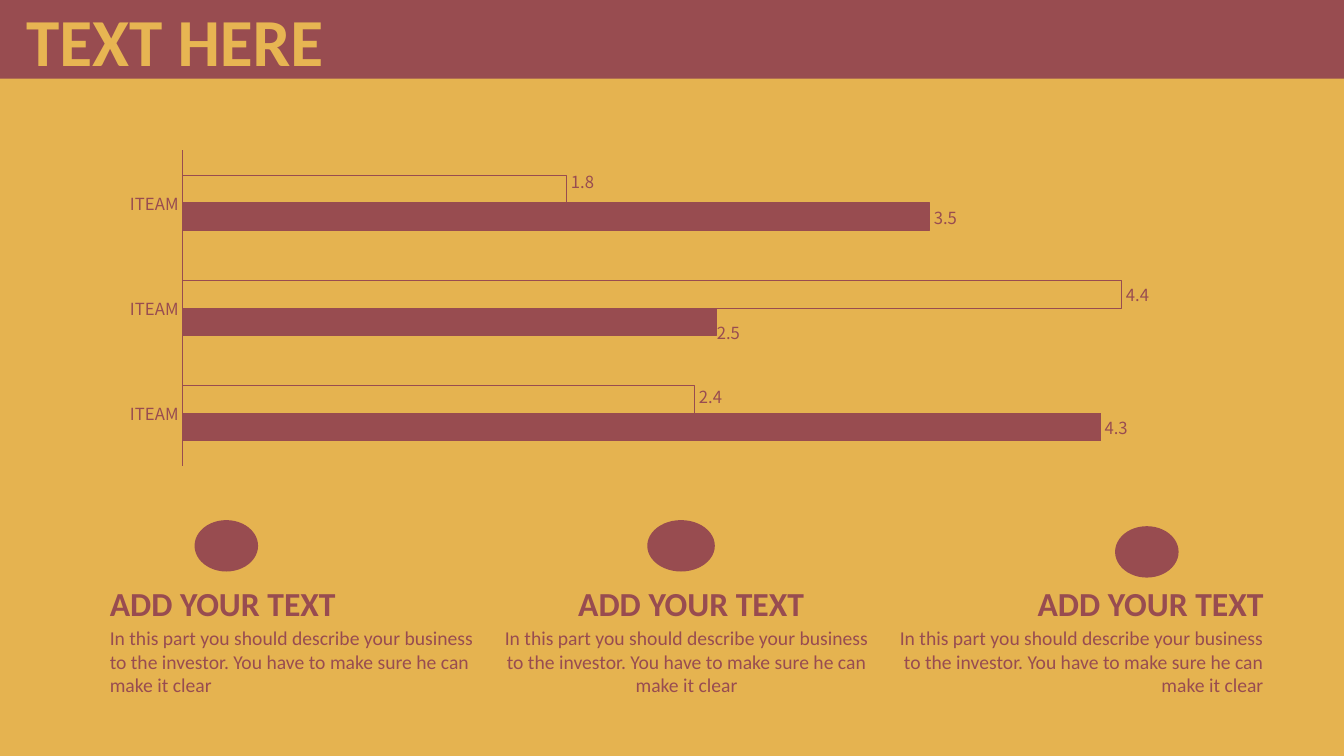
from lxml import etree
from pptx import Presentation
from pptx.chart.data import CategoryChartData
from pptx.dml.color import RGBColor
from pptx.enum import chart as charts, shapes, text
from pptx.oxml import ns
from pptx.util import Inches, Pt

COLORS = {"sand": "E5B350", "gold": "E7B552", "wine": "984C50"}
DESCRIPTION = ("In this part you should describe your business to the investor. "
               "You have to make sure he can make it clear")


def style(font, size, color, name="Calibri", bold=False):
    font.size = Pt(size)
    font.name = name
    font.bold = bold
    font.color.rgb = RGBColor.from_string(COLORS[color])


def add_layout(parent, position, **values):
    layout = etree.Element(ns.qn("c:layout"))
    manual = etree.SubElement(layout, ns.qn("c:manualLayout"))
    for tag, value in values.items():
        etree.SubElement(manual, ns.qn(f"c:{tag}")).set("val", str(value))
    for existing in parent.findall(ns.qn("c:layout")):
        parent.remove(existing)
    parent.insert(position, layout)


presentation = Presentation()
presentation.slide_width = Inches(13.33)
presentation.slide_height = Inches(7.5)
slide = presentation.slides.add_slide(presentation.slide_layouts[5])
slide.background.fill.solid()
slide.background.fill.fore_color.rgb = RGBColor.from_string(COLORS["sand"])
wine = RGBColor.from_string(COLORS["wine"])

band = slide.shapes.add_shape(shapes.MSO_SHAPE.RECTANGLE, 0, 0, Inches(13.33), Inches(0.78))
band.shadow.inherit = False
band.fill.solid()
band.fill.fore_color.rgb = wine
band.line.fill.background()

title = slide.shapes.title
title.element.addprevious(band.element)
title.left, title.top = Inches(0.16), Inches(-0.06)
title.width, title.height = Inches(4.41), Inches(0.91)
title.text_frame.text = "TEXT HERE"
title.text_frame.auto_size = text.MSO_AUTO_SIZE.NONE
title.text_frame.vertical_anchor = text.MSO_ANCHOR.TOP
title.text_frame.paragraphs[0].alignment = text.PP_ALIGN.LEFT
style(title.text_frame.paragraphs[0].runs[0].font, 48, "gold", bold=True)

columns = [
    (0.99, 3.91, text.PP_ALIGN.LEFT),
    (4.9, 3.91, text.PP_ALIGN.CENTER),
    (8.81, 3.82, text.PP_ALIGN.RIGHT),
]
for left, heading_width, alignment in columns:
    for top, width, height, words, size, bold in [
        (5.73, heading_width, 0.5, "ADD YOUR TEXT", 24, True),
        (6.16, 3.82, 0.81, DESCRIPTION, 14, False),
    ]:
        box = slide.shapes.add_textbox(Inches(left), Inches(top), Inches(width), Inches(height))
        box.text_frame.word_wrap = True
        box.text_frame.text = words
        paragraph = box.text_frame.paragraphs[0]
        paragraph.alignment = alignment
        style(paragraph.runs[0].font, size, "wine", bold=bold)

chart_data = CategoryChartData()
chart_data.categories = ["ITEAM"] * 3
chart_data.add_series("Series 1", (4.3, 2.5, 3.5))
chart_data.add_series("Series 2", (2.4, 4.4, 1.8))
chart = slide.shapes.add_chart(
    charts.XL_CHART_TYPE.BAR_CLUSTERED,
    Inches(1.06), Inches(1.42), Inches(11.57), Inches(3.27), chart_data).chart
chart.has_title = False
chart.has_legend = False
style(chart.font, 11.9, "wine", "Noto Sans CJK SC")
plot_area = chart.element.plotArea if hasattr(chart, "element") else chart._chartSpace.plotArea
add_layout(plot_area, 0, layoutTarget="inner", xMode="edge", yMode="edge",
           x=0.065, y=0.022, w=0.915, h=0.957)

category_axis = chart.category_axis
category_axis.major_tick_mark = charts.XL_TICK_MARK.NONE
category_axis.format.line.color.rgb = wine
category_axis.format.line.width = Pt(0.75)
style(category_axis.tick_labels.font, 11.9, "wine", "Noto Sans CJK SC")
value_axis = chart.value_axis
value_axis.minimum_scale = 0
value_axis.maximum_scale = 5
value_axis.has_major_gridlines = False
value_axis.visible = False

plot = chart.plots[0]
plot.gap_width = 182
plot.overlap = 0
plot.vary_by_categories = False
label_offsets = [{1: (-0.003, 0.03)}, {0: (0, -0.01), 2: (0, -0.024)}]
for series, offsets in zip(plot.series, label_offsets):
    series.format.line.color.rgb = wine
    series.format.line.width = Pt(0.75)
    labels = series.data_labels
    labels.show_value = True
    labels.position = charts.XL_LABEL_POSITION.OUTSIDE_END
    style(labels.font, 11.9, "wine", "Noto Sans CJK SC")
    for index, (x, y) in offsets.items():
        label = series.points[index].data_label
        label.position = charts.XL_LABEL_POSITION.OUTSIDE_END
        style(label.font, 11.9, "wine", "Noto Sans CJK SC")
    for element in labels._element.findall(ns.qn("c:dLbl")):
        x, y = offsets[int(element.find(ns.qn("c:idx")).get("val"))]
        add_layout(element, 1, x=x, y=y)
plot.series[0].format.fill.solid()
plot.series[0].format.fill.fore_color.rgb = wine
plot.series[1].format.fill.background()

for left, top, width in [(6.42, 5.16, 0.67), (1.93, 5.16, 0.63), (11.06, 5.22, 0.63)]:
    icon = slide.shapes.add_shape(
        shapes.MSO_SHAPE.OVAL, Inches(left), Inches(top), Inches(width), Inches(0.51))
    icon.shadow.inherit = False
    icon.fill.solid()
    icon.fill.fore_color.rgb = wine
    icon.line.fill.background()

presentation.save("out.pptx")
